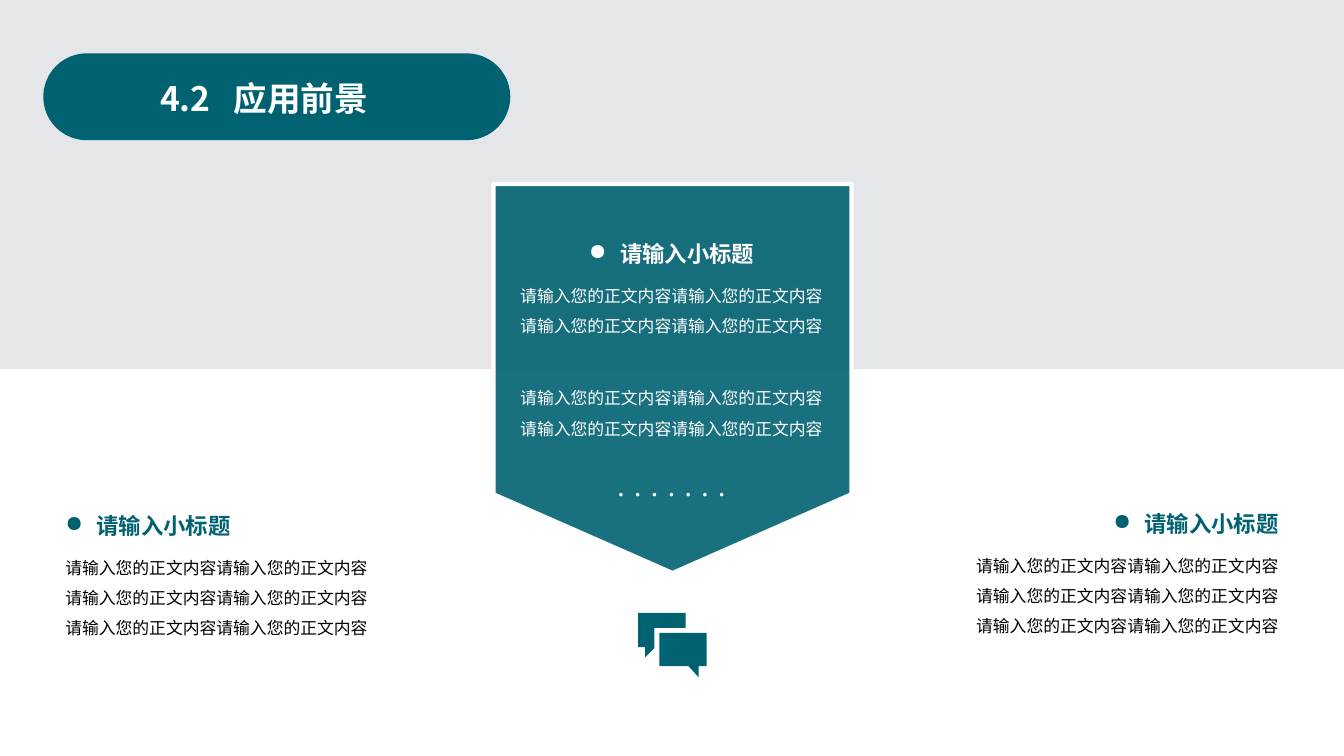
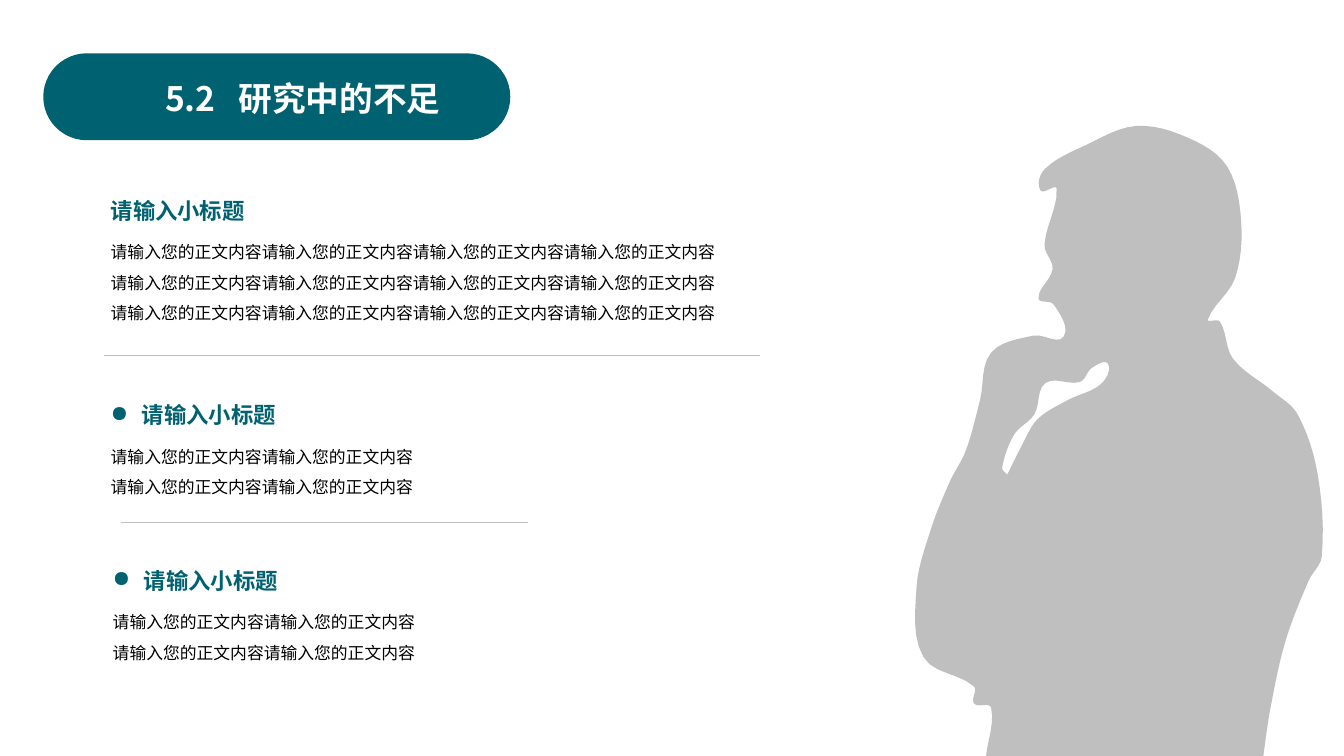
from math import dist

from lxml import etree
from pptx import Presentation
from pptx.dml.color import RGBColor
from pptx.enum.shapes import MSO_CONNECTOR, MSO_SHAPE
from pptx.enum.text import MSO_AUTO_SIZE, PP_ALIGN
from pptx.oxml.ns import qn
from pptx.util import Inches, Pt

TEAL = RGBColor(0x00, 0x61, 0x71)
WHITE = RGBColor(0xFF, 0xFF, 0xFF)
BLACK = RGBColor(0x00, 0x00, 0x00)
PALE = RGBColor(0xE4, 0xE6, 0xEA)
GREY = RGBColor(0xBF, 0xBF, 0xBF)
FONT = "Noto Sans CJK SC"
LEFT, MID, RIGHT = PP_ALIGN.LEFT, PP_ALIGN.CENTER, PP_ALIGN.RIGHT

# Content
HEAD = "请输入小标题"
PAIR = "请输入您的正文内容" * 2
QUAD = PAIR * 2

# Blocks: left, top, width, height, heading, bulleted, body, align, colours
PROSPECTS = [
    (5.04, 2.2, 3.24, 1.19, HEAD, True, [QUAD], MID, WHITE, WHITE),
    (5.04, 3.7, 3.24, 0.68, None, False, [QUAD], MID, WHITE, WHITE),
    (5.04, 4.66, 3.24, 0.37, None, False, ["·······"], MID, WHITE, WHITE),
    (0.55, 4.9, 3.24, 1.5, HEAD, True, [QUAD, PAIR], LEFT, TEAL, BLACK),
    (9.54, 4.88, 3.24, 1.5, HEAD, True, [QUAD, PAIR], RIGHT, TEAL, BLACK),
]
LIMITS = [
    (1, 1.77, 6.43, 1.8, HEAD, False, [QUAD] * 3, LEFT, TEAL, BLACK),
    (1, 3.8, 3.24, 1.19, HEAD, True, [QUAD], LEFT, TEAL, BLACK),
    (1.02, 5.44, 3.24, 1.19, HEAD, True, [QUAD], LEFT, TEAL, BLACK),
]
RULES = [(1.03, 7.54, 3.52), (1.2, 5.24, 5.18)]

# Speech bubbles, in inches
CHAT = [
    [(6.54, 6.28), (7.01, 6.28), (7.01, 6.61), (6.93, 6.61), (6.93, 6.72),
     (6.83, 6.61), (6.54, 6.61)],
    [(6.33, 6.08), (6.8, 6.08), (6.8, 6.23), (6.49, 6.23), (6.49, 6.43),
     (6.4, 6.52), (6.4, 6.42), (6.33, 6.42)],
]

# Figure: points that a smooth curve passes through, in inches
BODY = [
    (12.53, 7.5), (12.6, 7.03), (12.75, 6.36), (12.98, 5.76), (13.11, 5.52),
    (13.07, 4.71), (12.87, 4.11), (12.62, 3.88), (12.23, 3.56), (12.1, 3.19),
    (11.98, 3.17), (12.25, 2.76), (12.31, 2.19), (12.17, 1.65), (11.79, 1.37),
    (11.27, 1.25), (10.77, 1.44), (10.36, 1.68), (10.32, 1.89), (10.48, 1.87),
    (10.36, 2.43), (10.44, 2.67), (10.3, 2.96), (10.45, 3.02), (10.55, 3.34),
    (10.25, 3.33), (9.83, 3.5), (9.72, 3.97), (9.58, 4.47), (9.42, 4.78),
    (9.23, 5.26), (9.09, 5.83), (9.16, 6.52), (9.66, 6.81), (9.66, 6.98),
    (9.83, 7.02), (9.78, 7.5),
]
GAP = [
    (9.99, 4.71), (9.94, 4.64), (10.06, 4.31), (10.26, 4.11), (10.37, 3.8),
    (10.71, 3.79), (10.83, 3.65), (10.99, 3.61), (10.92, 3.81), (10.59, 3.97),
    (10.29, 4.16), (10.13, 4.43), (9.99, 4.71),
]


def smooth(knots, steps=6):
    """Join the knots by cubic curves with handles a third of each chord."""
    ends = [knots[0], *knots, knots[-1]]
    out = [knots[0]]
    for a, b, c, d in zip(ends, ends[1:], ends[2:], ends[3:]):
        reach = dist(b, c) / 3
        near, far = reach / dist(a, c), reach / dist(b, d)
        curve = (b, [q + (r - p) * near for p, q, r in zip(a, b, c)],
                 [q - (r - p) * far for p, q, r in zip(b, c, d)], c)
        for n in range(1, steps + 1):
            t = n / steps
            u = 1 - t
            mix = (u ** 3, 3 * u * u * t, 3 * u * t * t, t ** 3)
            out.append([sum(m * p[axis] for m, p in zip(mix, curve))
                        for axis in (0, 1)])
    return out


def paint(shape, fill, line=None):
    shape.shadow.inherit = False
    shape.fill.solid()
    shape.fill.fore_color.rgb = fill
    if line is None:
        shape.line.fill.background()
    else:
        shape.line.color.rgb = line
        shape.line.width = Pt(3)
    return shape


def panel(slide, kind, left, top, width, height, fill, line=None):
    box = slide.shapes.add_shape(kind, Inches(left), Inches(top),
                                 Inches(width), Inches(height))
    return paint(box, fill, line)


def outline(slide, loops, fill):
    scaled = [[(Inches(x), Inches(y)) for x, y in loop] for loop in loops]
    pen = slide.shapes.build_freeform(*scaled[0][0])
    for i, loop in enumerate(scaled):
        if i:
            pen.move_to(*loop[0])
        pen.add_line_segments(loop[1:], close=True)
    paint(pen.convert_to_shape(), fill)


def frame(slide, left, top, width, height):
    box = slide.shapes.add_textbox(Inches(left), Inches(top),
                                   Inches(width), Inches(height))
    box.text_frame.word_wrap = True
    box.text_frame.auto_size = MSO_AUTO_SIZE.SHAPE_TO_FIT_TEXT
    return box.text_frame


def write(para, text, size, color, bold=False):
    run = para.add_run()
    run.text = text
    font = run.font
    font.size, font.bold, font.name = Pt(size), bold, FONT
    font.color.rgb = color
    etree.SubElement(font._element, qn("a:ea"), typeface=FONT)


def block(slide, left, top, width, height, head, dot, body, align, tint, ink):
    text = frame(slide, left, top, width, height)
    lines = [(head, 16, tint, True)] if head else []
    lines += [(line, 12, ink, False) for line in body]
    for i, (line, size, color, bold) in enumerate(lines):
        para = text.add_paragraph() if i else text.paragraphs[0]
        if bold and dot:
            props = para._p.get_or_add_pPr()
            props.set("marL", str(Inches(0.31)))
            props.set("indent", str(-Inches(0.31)))
            etree.SubElement(props, qn("a:buChar"), char="●")
        para.alignment = align
        para.line_spacing = 1.5
        if bold:
            para.space_after = Pt(6)
        write(para, line, size, color, bold)


def title(slide, number, name, left):
    pill = panel(slide, MSO_SHAPE.ROUNDED_RECTANGLE, 0.45, 0.55, 4.59, 0.82,
                 TEAL, TEAL)
    pill.adjustments[0] = 0.5
    para = frame(slide, left, 0.72, 3.2, 0.5).paragraphs[0]
    tabs = etree.SubElement(para._p.get_or_add_pPr(), qn("a:tabLst"))
    etree.SubElement(tabs, qn("a:tab"), pos=str(Inches(0.73)), algn="l")
    write(para, f"{number}\t{name}", 24, WHITE, True)


def rule(slide, start, end, y):
    line = slide.shapes.add_connector(MSO_CONNECTOR.STRAIGHT, Inches(start),
                                      Inches(y), Inches(end), Inches(y))
    line.line.color.rgb = GREY
    line.line.width = Pt(0.25)
    etree.SubElement(line._element.spPr, qn("a:effectLst"))


def prospects(slide):
    panel(slide, MSO_SHAPE.RECTANGLE, 0, 0, 13.33, 3.66, PALE)
    # Translucent banner pointing down
    flag = panel(slide, MSO_SHAPE.PENTAGON, 4.74, 1.98, 3.86, 3.55, TEAL, WHITE)
    flag.rotation = 90
    flag.adjustments[0] = 0.22
    tint = flag._element.spPr.find(qn("a:solidFill"))[0]
    etree.SubElement(tint, qn("a:alpha"), val="90000")
    outline(slide, CHAT, TEAL)
    title(slide, "4.2", "应用前景", 1.49)
    for part in PROSPECTS:
        block(slide, *part)


def limits(slide):
    # Thinking figure
    outline(slide, [smooth(BODY), smooth(GAP)], GREY)
    for part in RULES:
        rule(slide, *part)
    title(slide, "5.2", "研究中的不足", 1.54)
    for part in LIMITS:
        block(slide, *part)


def main():
    deck = Presentation()
    deck.slide_width, deck.slide_height = Inches(13.33), Inches(7.5)
    for build in (prospects, limits):
        build(deck.slides.add_slide(deck.slide_layouts[6]))
    deck.save("out.pptx")


if __name__ == "__main__":
    main()
